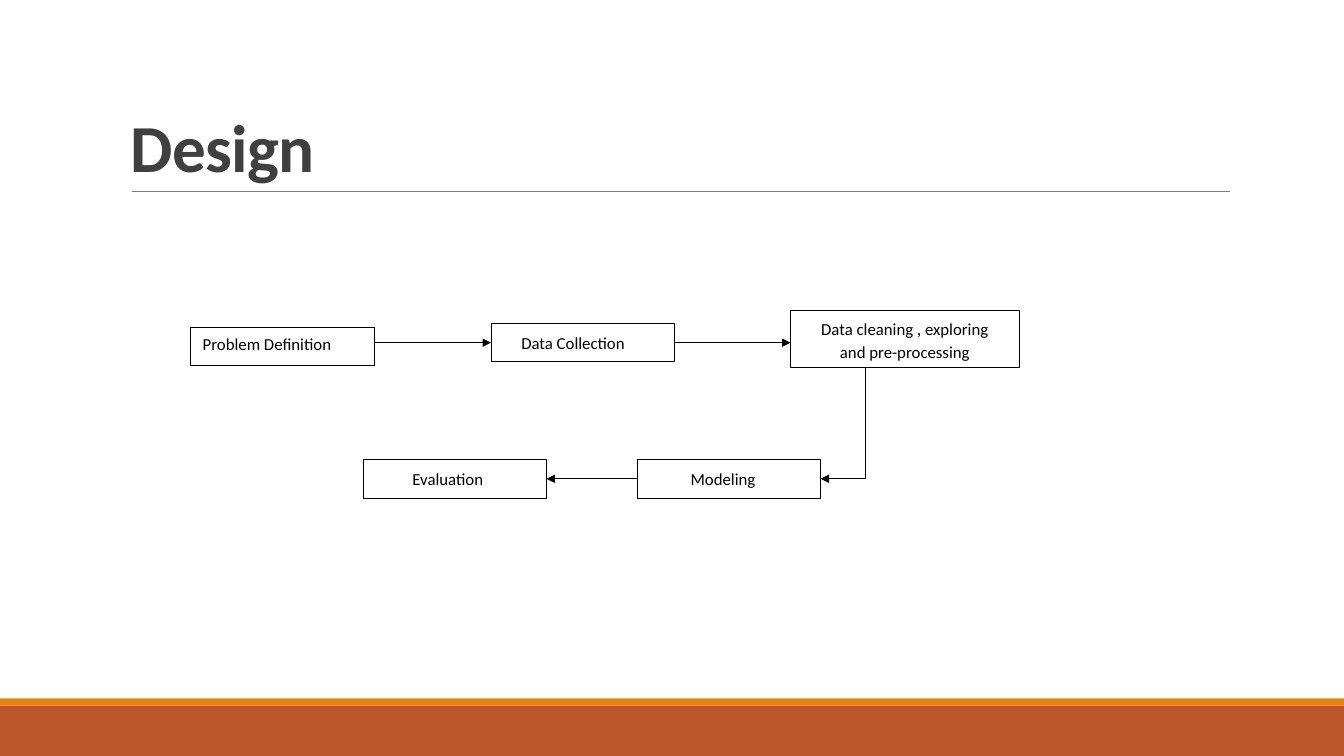
import lxml.etree
import pptx
import pptx.dml.color
import pptx.enum.shapes
import pptx.enum.text
import pptx.oxml.ns
import pptx.util

Inches = pptx.util.Inches
Pt = pptx.util.Pt
RGBColor = pptx.dml.color.RGBColor
ALIGN = pptx.enum.text.PP_ALIGN
ANCHOR = pptx.enum.text.MSO_ANCHOR
qn = pptx.oxml.ns.qn

RUST = RGBColor(0xBD, 0x58, 0x2C)
ORANGE = RGBColor(0xE4, 0x83, 0x12)
GREY = RGBColor(0x80, 0x80, 0x80)
CHARCOAL = RGBColor(0x40, 0x40, 0x40)
BLACK = RGBColor(0, 0, 0)
FONT = "Calibri"
STEP_WIDTH, STEP_HEIGHT = 1.82, 0.38
LEFT, RIGHT = 1, 3


def write_text(frame, text, size=12, color=BLACK, bold=False, spacing=1.15,
               align=ALIGN.LEFT, anchor=ANCHOR.MIDDLE, tracking=0):
    """Fill a text frame with one formatted paragraph per line of text."""
    frame.word_wrap = True
    frame.vertical_anchor = anchor
    for index, words in enumerate(text.split("\n")):
        para = frame.add_paragraph() if index else frame.paragraphs[0]
        para.alignment = align
        para.line_spacing = spacing
        span = para.add_run()
        span.text = words
        span.font.name = FONT
        span.font.size = Pt(size)
        span.font.bold = bold
        span.font.color.rgb = color
        if tracking:
            span.font._element.set("spc", str(int(tracking * 100)))


def add_rectangle(page, left, top, width, height, fill=None, line=None):
    """Add a flat rectangle with an optional fill and outline."""
    box = page.shapes.add_shape(
        pptx.enum.shapes.MSO_SHAPE.RECTANGLE,
        Inches(left), Inches(top), Inches(width), Inches(height))
    box.shadow.inherit = False
    if fill is None:
        box.fill.background()
    else:
        box.fill.solid()
        box.fill.fore_color.rgb = fill
    if line is None:
        box.line.fill.background()
    else:
        box.line.color.rgb = line
        box.line.width = Pt(0.5)
    return box


def style_line(shape, color=BLACK, width=0.75, arrow=False):
    """Set the stroke of a line and, if asked, its arrowhead."""
    shape.line.color.rgb = color
    shape.line.width = Pt(width)
    if arrow:
        lxml.etree.SubElement(shape.line._get_or_add_ln(), qn("a:tailEnd"), type="triangle")


def add_line(page, start, end, **stroke):
    """Add a straight connector between two points."""
    line = page.shapes.add_connector(
        pptx.enum.shapes.MSO_CONNECTOR.STRAIGHT,
        Inches(start[0]), Inches(start[1]), Inches(end[0]), Inches(end[1]))
    style_line(line, **stroke)
    lxml.etree.SubElement(line._element.spPr, qn("a:effectLst"))
    return line


def add_bent_arrow(page, start, corner, end):
    """Add an arrow that turns once at the corner."""
    points = [(Inches(x), Inches(y)) for x, y in (start, corner, end)]
    builder = page.shapes.build_freeform(*points[0])
    builder.add_line_segments(points[1:], close=False)
    arrow = builder.convert_to_shape()
    arrow.shadow.inherit = False
    arrow.fill.background()
    style_line(arrow, arrow=True)


def add_step(page, text, left, top, indent=0, lift=0.03, width=STEP_WIDTH,
             height=STEP_HEIGHT, align=ALIGN.LEFT):
    """Add one outlined process step with its label inside."""
    box = add_rectangle(page, left, top, width, height, line=BLACK)
    frame = box.text_frame
    frame.margin_left = Inches(indent)
    frame.margin_bottom = Inches(lift)
    frame.margin_right = frame.margin_top = 0
    write_text(frame, text, align=align)
    return box


def add_footer(page, left, top, width, height):
    """Draw the two-tone band along the bottom of the page."""
    stripe = 0.07
    add_rectangle(page, left, top + stripe, width, height - stripe, fill=RUST)
    add_rectangle(page, left, top, width, stripe, fill=ORANGE)


def add_heading(page, text, left, top, width, height):
    """Place the title and the rule beneath it."""
    box = page.shapes.add_textbox(Inches(left), Inches(top), Inches(width), Inches(height))
    write_text(box.text_frame, text, size=48, color=CHARCOAL, bold=True,
               spacing=0.85, anchor=ANCHOR.BOTTOM, tracking=-0.5)
    bottom = top + height
    add_line(page, (left + 0.11, bottom), (left + width, bottom), color=GREY, width=0.5)


def add_process(page, left, top):
    """Lay out the five process steps and the arrows that join them."""
    collection_left, cleaning_left = left + 2.98, left + 5.95
    modeling_left, evaluation_left = left + 4.43, left + 1.71
    upper, lower = top + 0.13, top + 1.48
    cleaning_height = 0.57
    add_step(page, "Problem Definition", left, top + 0.17, indent=0.12, lift=0.08)
    collection = add_step(page, "Data Collection", collection_left, upper, indent=0.3)
    add_step(page, "Data cleaning , exploring\nand pre-processing", cleaning_left, top,
             lift=0, width=2.27, height=cleaning_height, align=ALIGN.CENTER)
    modeling = add_step(page, "Modeling", modeling_left, lower, indent=0.53)
    evaluation = add_step(page, "Evaluation", evaluation_left, lower, indent=0.49)

    upper_axis = upper + STEP_HEIGHT / 2
    lower_axis = lower + STEP_HEIGHT / 2
    turn = left + 6.69

    into_collection = add_line(page, (left + STEP_WIDTH, upper_axis),
                               (collection_left, upper_axis), arrow=True)
    into_collection.end_connect(collection, LEFT)
    into_cleaning = add_line(page, (collection_left + STEP_WIDTH, upper_axis),
                             (cleaning_left, upper_axis), arrow=True)
    into_cleaning.begin_connect(collection, RIGHT)
    add_bent_arrow(page, (turn, top + cleaning_height), (turn, lower_axis),
                   (modeling_left + STEP_WIDTH, lower_axis))
    into_evaluation = add_line(page, (modeling_left, lower_axis),
                               (evaluation_left + STEP_WIDTH, lower_axis), arrow=True)
    into_evaluation.begin_connect(modeling, LEFT)
    into_evaluation.end_connect(evaluation, RIGHT)


def main():
    """Build the deck and save it."""
    deck = pptx.Presentation()
    deck.slide_width = Inches(13.33)
    deck.slide_height = Inches(7.5)
    page = deck.slides.add_slide(deck.slide_layouts[6])
    add_footer(page, 0, 6.93, 13.33, 0.57)
    add_heading(page, "Design", 1.2, 0.31, 11, 1.59)
    add_process(page, 1.89, 3.08)
    deck.save("out.pptx")


if __name__ == "__main__":
    main()
